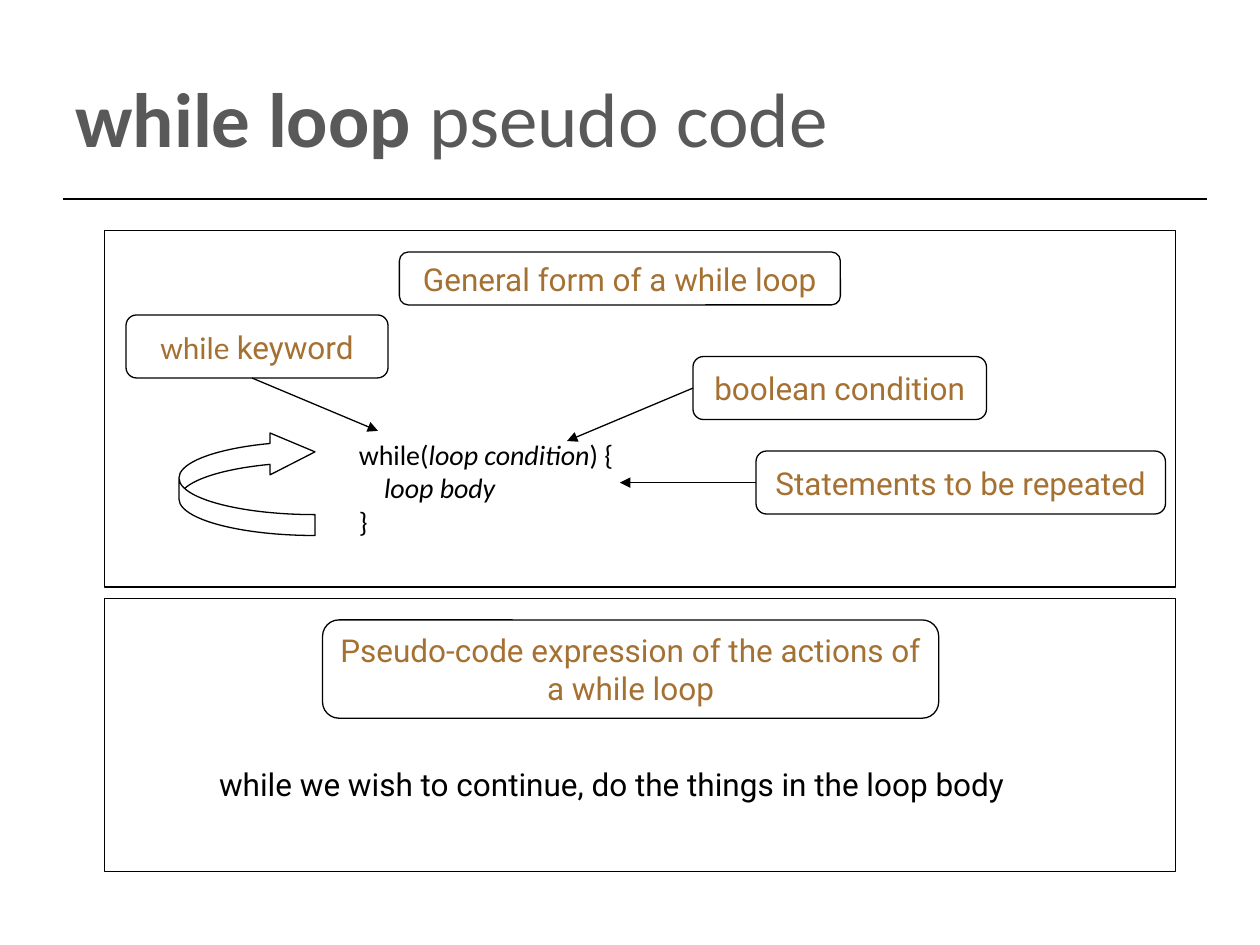
from typing import NamedTuple

from lxml.etree import SubElement
from pptx import Presentation
from pptx.dml.color import RGBColor
from pptx.enum.shapes import MSO_CONNECTOR, MSO_SHAPE
from pptx.enum.text import MSO_ANCHOR, PP_ALIGN
from pptx.oxml.ns import qn
from pptx.util import Inches, Pt

COLORS = {"ink": "000000", "label": "A57133", "title": "595959"}
SANS, ROUND = "Calibri", "Roboto"


class Run(NamedTuple):
    text: str
    font: str = ROUND
    bold: bool = False
    italic: bool = False


class Box(NamedTuple):
    left: float
    top: float
    width: float
    height: float


class Label(NamedTuple):
    box: Box
    runs: list[Run]
    wrap: bool = False


class Line(NamedTuple):
    start: tuple[float, float]
    end: tuple[float, float]
    width: float = 0.75
    arrow: bool = True


FRAMES = [Box(0.83, 1.83, 8.5, 2.83), Box(0.83, 4.75, 8.5, 2.17)]
LABELS = [
    Label(Box(3.17, 2, 3.5, 0.42), [Run("General form of a while loop")]),
    Label(Box(1, 2.5, 2.08, 0.5), [Run("while ", SANS), Run("keyword")]),
    Label(Box(5.5, 2.83, 2.33, 0.5), [Run("boolean condition")]),
    Label(Box(6, 3.58, 3.25, 0.5), [Run("Statements to be repeated")]),
    Label(Box(2.56, 4.92, 4.89, 0.78),
          [Run("Pseudo-code expression of the actions of a while loop")], True),
]
LINES = [
    Line((0.5, 1.58), (9.58, 1.58), 1, False),
    Line((5.5, 3.08), (4.5, 3.5)),
    Line((2, 3), (3, 3.42)),
    Line((6, 3.83), (4.92, 3.83)),
]
CODE = [
    [Run("while(", SANS), Run("loop condition", SANS, italic=True), Run(") {", SANS)],
    [Run("    loop body", SANS, italic=True)],
    [Run("}", SANS)],
]


def color(name: str) -> RGBColor:
    return RGBColor.from_string(COLORS[name])


def place(box: Box) -> list[int]:
    return [Inches(side) for side in box]


def write(para, runs: list[Run], size: float, ink: str, align=PP_ALIGN.LEFT) -> None:
    para.alignment = align
    para.font.size = Pt(size)
    para.font.color.rgb = color(ink)
    for item in runs:
        run = para.add_run()
        run.text = item.text
        # Run-level settings win over the theme in every viewer.
        run.font.name = item.font
        run.font.size = Pt(size)
        run.font.color.rgb = color(ink)
        run.font.bold = item.bold
        run.font.italic = item.italic


def add_shape(slide, kind: MSO_SHAPE, box: Box, *adjust: float):
    """Add an unfilled shape with a thin outline."""
    shape = slide.shapes.add_shape(kind, *place(box))
    shape.shadow.inherit = False
    shape.fill.background()
    shape.line.color.rgb = color("ink")
    shape.line.width = Pt(0.75)
    for index, value in enumerate(adjust):
        shape.adjustments[index] = value
    return shape


def add_label(slide, label: Label) -> None:
    frame = add_shape(slide, MSO_SHAPE.ROUNDED_RECTANGLE, label.box, 0.167).text_frame
    frame.word_wrap = label.wrap
    frame.vertical_anchor = MSO_ANCHOR.MIDDLE
    write(frame.paragraphs[0], label.runs, 18, "label", PP_ALIGN.CENTER)


def add_line(slide, line: Line) -> None:
    ends = [Inches(value) for value in line.start + line.end]
    link = slide.shapes.add_connector(MSO_CONNECTOR.STRAIGHT, *ends)
    link.line.color.rgb = color("ink")
    link.line.width = Pt(line.width)
    if line.arrow:
        SubElement(link.line._get_or_add_ln(), qn("a:tailEnd"), type="triangle")
    SubElement(link._element.spPr, qn("a:effectLst"))


def add_text(slide, box: Box, rows: list[list[Run]], size: float, wrap: bool) -> None:
    frame = slide.shapes.add_textbox(*place(box)).text_frame
    frame.word_wrap = wrap
    for index, runs in enumerate(rows):
        para = frame.add_paragraph() if index else frame.paragraphs[0]
        write(para, runs, size, "ink")


def set_title(slide) -> None:
    title = slide.shapes.title
    title.left, title.top, title.width, title.height = place(Box(0.5, 0.3, 9, 1.25))
    frame = title.text_frame
    frame.vertical_anchor = MSO_ANCHOR.MIDDLE
    runs = [Run("while loop ", SANS, bold=True), Run("pseudo code", SANS)]
    write(frame.paragraphs[0], runs, 44, "title")


def main() -> None:
    deck = Presentation()
    deck.slide_width, deck.slide_height = Inches(10), Inches(7.5)
    slide = deck.slides.add_slide(deck.slide_layouts[5])
    set_title(slide)
    for box in FRAMES:
        add_shape(slide, MSO_SHAPE.RECTANGLE, box)
    for line in LINES:
        add_line(slide, line)
    for label in LABELS:
        add_label(slide, label)
    add_text(slide, Box(2.75, 3.42, 3.5, 0.9), CODE, 16, True)
    note = Run("while we wish to continue, do the things in the loop body")
    add_text(slide, Box(1.64, 6.02, 6.95, 0.4), [[note]], 18, False)
    loop = add_shape(slide, MSO_SHAPE.CURVED_LEFT_ARROW,
                     Box(1.42, 3.42, 1.08, 0.83), 0.2, 0.4, 0.43)
    loop.rotation = 180
    deck.save("out.pptx")


if __name__ == "__main__":
    main()
